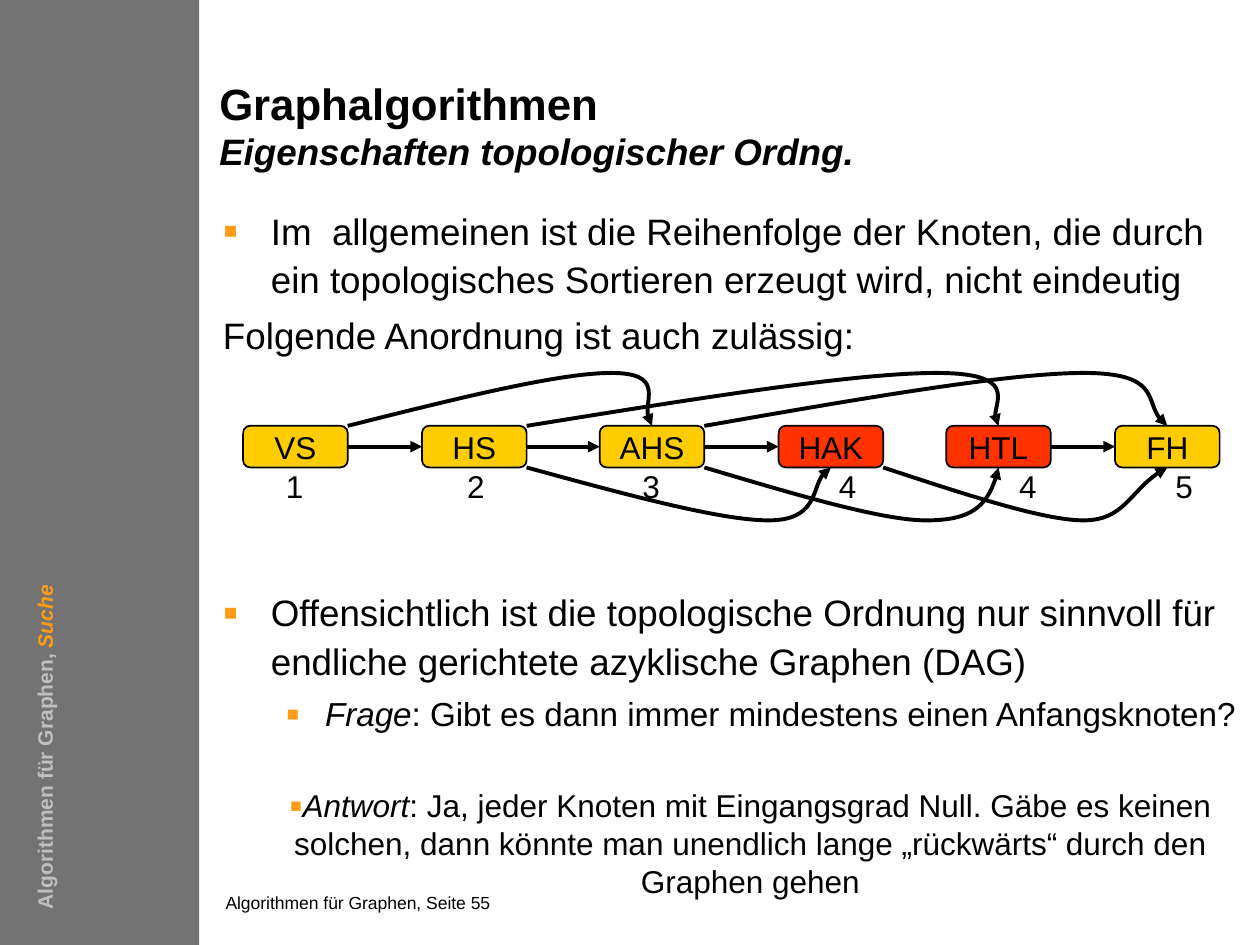
from dataclasses import dataclass

from lxml import etree
from pptx import Presentation
from pptx import util as u
from pptx.dml import color
from pptx.enum import shapes, text
from pptx.oxml import ns


@dataclass(frozen=True)
class Theme:
    font: str = "Arial"
    black: str = "000000"
    band: str = "737373"
    muted: str = "BFBFBF"
    accent: str = "FF9B14"
    yellow: str = "FFCC00"
    red: str = "FF3300"
    title: int = 25
    body: int = 21
    question: int = 19
    label: int = 18
    side: int = 12
    footer: int = 10


THEME = Theme()

# Graph: name, number, left of node, left of number, fill
NODES = [
    ("VS", "1", 1.93, 2.17, THEME.yellow),
    ("HS", "2", 3.35, 3.61, THEME.yellow),
    ("AHS", "3", 4.76, 5.00, THEME.yellow),
    ("HAK", "4", 6.18, 6.56, THEME.red),
    ("HTL", "4", 7.51, 7.99, THEME.red),
    ("FH", "5", 8.85, 9.23, THEME.yellow),
]
NODE_TOP, NODE_WIDTH, NODE_HEIGHT = 3.38, 0.83, 0.33
BEND_HEIGHT = 0.42
STRAIGHT_EDGES = [("VS", "HS"), ("HS", "AHS"), ("AHS", "HAK"), ("HTL", "FH")]
# Source, target, runs above, x of the extreme point, control point before the target
CURVED_EDGES = [
    ("VS", "AHS", True, 4.85, (5.07, 3.25)),
    ("HS", "HAK", False, 6.10, (6.44, 3.78)),
    ("HS", "HTL", True, 7.43, (7.83, 3.32)),
    ("AHS", "HTL", False, 7.35, (7.86, 4.00)),
    ("HAK", "FH", False, 8.60, (8.98, 3.86)),
    ("AHS", "FH", True, 8.60, (9.07, 3.24)),
]


def apply_format(target, values):
    for name, value in values.items():
        setattr(target, name, value)


def rgb(value):
    return color.RGBColor.from_string(value)


def add_span(para, words, size, fill=THEME.black, **style):
    span = para.add_run()
    span.text = words
    apply_format(span.font, {"name": THEME.font, "size": u.Pt(size), **style})
    span.font.color.rgb = rgb(fill)


def set_frame(frame, wrap=True, inset=(0, 0), anchor=text.MSO_ANCHOR.TOP):
    across, down = (u.Inches(value) for value in inset)
    apply_format(frame, {
        "word_wrap": wrap, "auto_size": text.MSO_AUTO_SIZE.NONE,
        "vertical_anchor": anchor, "margin_left": across, "margin_right": across,
        "margin_top": down, "margin_bottom": down,
    })


def add_text_box(page, bounds, **frame_format):
    box = page.shapes.add_textbox(*map(u.Inches, bounds))
    set_frame(box.text_frame, **frame_format)
    return box


def set_indent(para, left, first, bullet=True):
    props = para._p.get_or_add_pPr()
    props.set("marL", str(u.Inches(left)))
    props.set("indent", str(u.Inches(first)))
    if bullet:
        fill = etree.SubElement(props, ns.qn("a:buClr"))
        etree.SubElement(fill, ns.qn("a:srgbClr"), val=THEME.accent)
        etree.SubElement(props, ns.qn("a:buSzPct"), val="120000")
        etree.SubElement(props, ns.qn("a:buFont"), typeface=THEME.font)
        etree.SubElement(props, ns.qn("a:buChar"), char="▪")


def style_arrow(shape):
    shape.line.width = u.Pt(2.25)
    shape.line.color.rgb = rgb(THEME.black)
    etree.SubElement(shape.line._get_or_add_ln(), ns.qn("a:tailEnd"), type="triangle")


def add_node(page, name, left, fill):
    bounds = map(u.Inches, (left, NODE_TOP, NODE_WIDTH, NODE_HEIGHT))
    node = page.shapes.add_shape(shapes.MSO_SHAPE.ROUNDED_RECTANGLE, *bounds)
    node.shadow.inherit = False
    node.fill.solid()
    node.fill.fore_color.rgb = rgb(fill)
    node.line.color.rgb = rgb(THEME.black)
    node.line.width = u.Pt(1)
    set_frame(node.text_frame, False, (0.1, 0.05), text.MSO_ANCHOR.MIDDLE)
    para = node.text_frame.paragraphs[0]
    para.alignment = text.PP_ALIGN.CENTER
    add_span(para, name, THEME.label)
    return node


def add_straight_edge(page, source, target):
    edge = page.shapes.add_connector(shapes.MSO_CONNECTOR.STRAIGHT, 0, 0, 0, 0)
    edge.begin_connect(source, 3)
    edge.end_connect(target, 1)
    style_arrow(edge)
    etree.SubElement(edge._element.spPr, ns.qn("a:effectLst"))


def add_curved_edge(page, source_left, target_left, above, peak_x, approach):
    start_x = source_left + NODE_WIDTH
    side_y = NODE_TOP if above else NODE_TOP + NODE_HEIGHT
    bend = -BEND_HEIGHT if above else BEND_HEIGHT
    peak_y, run = side_y + bend, peak_x - start_x
    points = [
        (start_x + 0.4 * run, side_y + bend / 2), (start_x + 0.8 * run, peak_y),
        (peak_x, peak_y), (peak_x + 0.2 * run, peak_y),
        approach, (target_left + NODE_WIDTH / 2, side_y),
    ]
    builder = page.shapes.build_freeform(u.Inches(start_x), u.Inches(side_y))
    builder.add_line_segments([tuple(map(u.Inches, point)) for point in points], close=False)
    edge = builder.convert_to_shape()
    # Every three points become one Bézier segment
    segments = list(edge._element.iter(ns.qn("a:lnTo")))
    for index in range(0, len(segments), 3):
        first, *others = segments[index:index + 3]
        curve = etree.Element(ns.qn("a:cubicBezTo"))
        first.addprevious(curve)
        for segment in (first, *others):
            curve.append(segment[0])
            segment.getparent().remove(segment)
    edge.shadow.inherit = False
    edge.fill.background()
    style_arrow(edge)


def add_graph(page):
    lefts = {name: left for name, _, left, _, _ in NODES}
    nodes = {name: add_node(page, name, left, fill) for name, _, left, _, fill in NODES}
    for source, target in STRAIGHT_EDGES:
        add_straight_edge(page, nodes[source], nodes[target])
    for source, target, *bend in CURVED_EDGES:
        add_curved_edge(page, lefts[source], lefts[target], *bend)
    for _, number, _, left, _ in NODES:
        box = add_text_box(page, (left, 3.66, 0.34, 0.4), wrap=False, inset=(0.1, 0.05))
        add_span(box.text_frame.paragraphs[0], number, THEME.label)


def add_title(page):
    title = page.shapes.title
    bounds = map(u.Inches, (1.74, 0.67, 5.1, 0.75))
    apply_format(title, dict(zip(("left", "top", "width", "height"), bounds)))
    set_frame(title.text_frame)
    para = title.text_frame.paragraphs[0]
    apply_format(para, {"alignment": text.PP_ALIGN.LEFT, "line_spacing": u.Pt(25.4)})
    add_span(para, "Graphalgorithmen", THEME.title, bold=True)
    para.add_line_break()
    add_span(para, "Eigenschaften topologischer Ordng.", THEME.body, bold=True, italic=True)


def add_body(page):
    frame = add_text_box(page, (1.77, 1.62, 8.07, 4.65)).text_frame
    # Space before, left indent, first-line indent, bullet, size, italic lead, words
    rows = [
        (0, 0.38, -0.38, True, THEME.body, "", "Im  allgemeinen ist die Reihenfolge der Knoten, "
         "die durch ein topologisches Sortieren erzeugt wird, nicht eindeutig"),
        (4, 0.38, -0.38, False, THEME.body, "", "Folgende Anordnung ist auch zulässig:"),
        (131, 0.38, -0.38, True, THEME.body, "", "Offensichtlich ist die topologische Ordnung "
         "nur sinnvoll für endliche gerichtete azyklische Graphen (DAG)"),
        (4, 0.81, -0.31, True, THEME.question, "Frage",
         ": Gibt es dann immer mindestens einen Anfangsknoten?"),
    ]
    for index, (before, left, first, bullet, size, lead, words) in enumerate(rows):
        para = frame.add_paragraph() if index else frame.paragraphs[0]
        set_indent(para, left, first, bullet)
        apply_format(para, {"line_spacing": 1.1, "space_before": u.Pt(before)})
        if lead:
            add_span(para, lead, size, italic=True)
        add_span(para, words, size)


def add_answer(page):
    box = add_text_box(page, (1.61, 6.19, 8.19, 1.01), inset=(0.1, 0.05))
    para = box.text_frame.paragraphs[0]
    set_indent(para, 0.5, 0)
    para.alignment = text.PP_ALIGN.CENTER
    add_span(para, "Antwort", THEME.label, italic=True)
    add_span(para, ": Ja, jeder Knoten mit Eingangsgrad Null. Gäbe es keinen solchen, dann könnte "
             "man unendlich lange „rückwärts“ durch den Graphen gehen", THEME.label)


def add_side_band(page):
    bounds = map(u.Inches, (0, 0, 1.58, 7.5))
    band = page.shapes.add_shape(shapes.MSO_SHAPE.RECTANGLE, *bounds)
    band.shadow.inherit = False
    band.fill.solid()
    band.fill.fore_color.rgb = rgb(THEME.band)
    band.line.fill.background()


def add_side_label(page):
    box = add_text_box(page, (-1.98, 4.83, 4.67, 0.3), inset=(0.1, 0.05))
    box.rotation = 270
    para = box.text_frame.paragraphs[0]
    add_span(para, "Algorithmen für Graphen, ", THEME.side, THEME.muted, bold=True)
    add_span(para, "Suche", THEME.side, THEME.accent, bold=True, italic=True)


def add_footer(page):
    box = add_text_box(page, (1.79, 7.08, 4.86, 0.21))
    add_span(box.text_frame.paragraphs[0], "Algorithmen für Graphen, Seite 55", THEME.footer)


def main():
    deck = Presentation()
    deck.slide_width, deck.slide_height = u.Inches(10), u.Inches(7.5)
    page = deck.slides.add_slide(deck.slide_layouts[5])
    for add_part in (add_side_band, add_footer, add_title, add_body,
                     add_graph, add_answer, add_side_label):
        add_part(page)
    deck.save("out.pptx")


if __name__ == "__main__":
    main()
